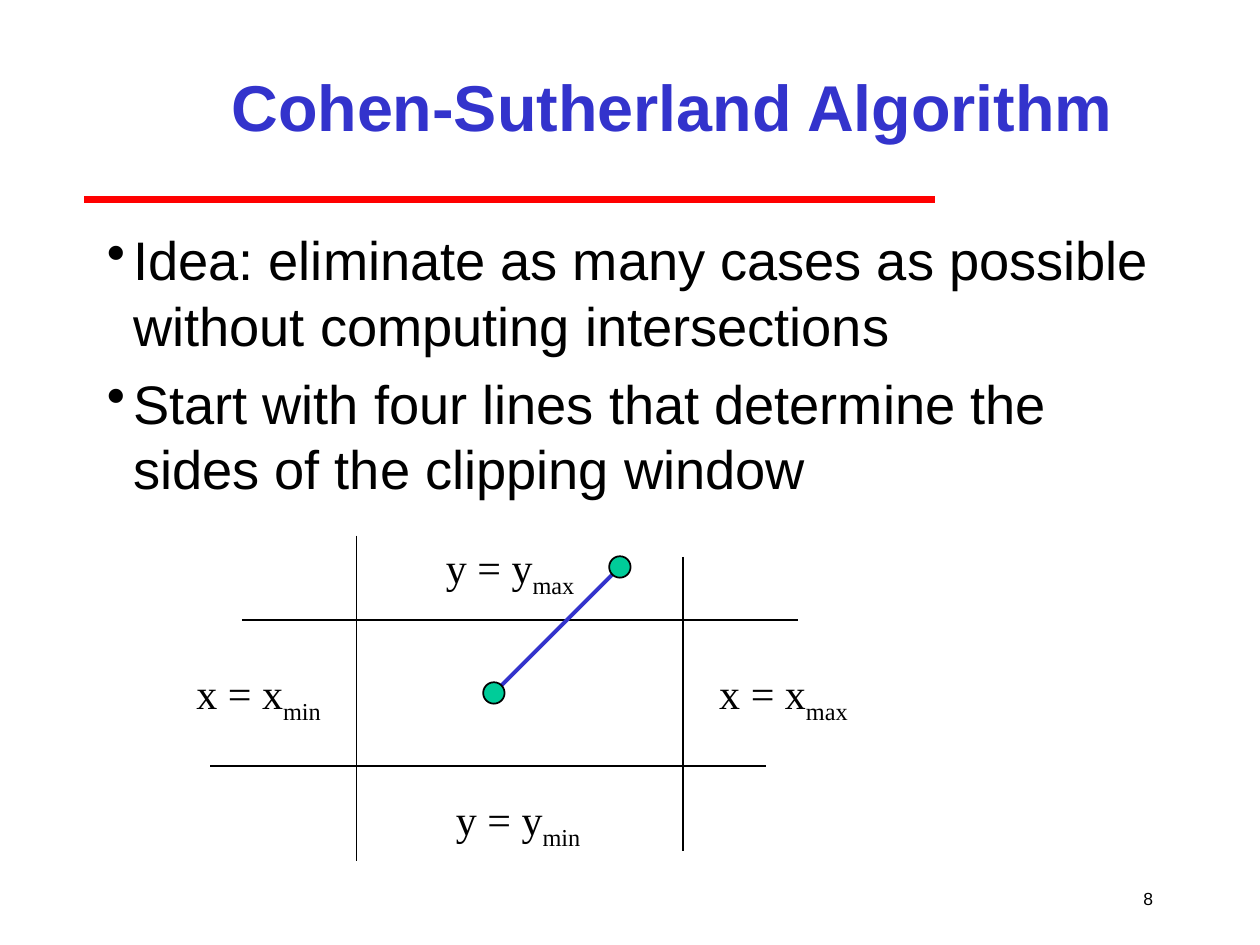
from dataclasses import dataclass

import pptx
import pptx.dml.color
import pptx.enum.shapes
import pptx.enum.text
import pptx.oxml
import pptx.oxml.ns
import pptx.util
from pptx.util import Inches

BLACK, BLUE, RED, GREEN = "000000", "3333CC", "FF0000", "00CC99"
ALIGN = pptx.enum.text.PP_ALIGN
ANCHOR = pptx.enum.text.MSO_ANCHOR


@dataclass
class Line:
    start: tuple[float, float]
    end: tuple[float, float]
    color: str = BLACK
    width: float = 1


@dataclass
class BoundaryLabel:
    left: float
    top: float
    width: float
    axis: str
    limit: str


HEADER_RULE = Line((0.67, 1.58), (7.42, 1.58), RED, 4)
WINDOW_LINES = [
    Line((1.92, 4.92), (6.33, 4.92)),
    Line((5.42, 4.42), (5.42, 6.75)),
    Line((2.83, 4.25), (2.83, 6.83)),
    Line((1.67, 6.08), (6.08, 6.08)),
]
LABELS = [
    BoundaryLabel(5.61, 5.25, 1.22, "x", "max"),
    BoundaryLabel(1.46, 5.25, 1.19, "x", "min"),
    BoundaryLabel(3.44, 4.25, 1.22, "y", "max"),
    BoundaryLabel(3.52, 6.25, 1.19, "y", "min"),
]
SEGMENT = Line((3.92, 5.5), (4.92, 4.5), BLUE, 2.25)
DOT_SIZE = 0.17
BULLETS = [
    "Idea: eliminate as many cases as possible without computing intersections",
    "Start with four lines that determine the sides of the clipping window",
]


def rgb(color: str) -> pptx.dml.color.RGBColor:
    return pptx.dml.color.RGBColor.from_string(color)


def style(para, size: float, name: str = "Arial", color: str = BLACK, bold: bool = False) -> None:
    para.font.size = pptx.util.Pt(size)
    para.font.name = name
    para.font.bold = bold
    para.font.color.rgb = rgb(color)


def add_frame(page, left: float, top: float, width: float, height: float,
              wrap: bool = True, anchor=ANCHOR.TOP):
    """Add a text box and return its text frame."""
    box = page.shapes.add_textbox(Inches(left), Inches(top), Inches(width), Inches(height))
    frame = box.text_frame
    frame.word_wrap = wrap
    frame.vertical_anchor = anchor
    return frame


def add_line(page, line: Line) -> None:
    connector = page.shapes.add_connector(
        pptx.enum.shapes.MSO_CONNECTOR.STRAIGHT,
        *(Inches(value) for value in line.start + line.end))
    connector.line.color.rgb = rgb(line.color)
    connector.line.width = pptx.util.Pt(line.width)
    properties = connector._element.spPr
    properties.append(pptx.oxml.parse_xml(f"<a:effectLst {pptx.oxml.ns.nsdecls('a')}/>"))


def add_dot(page, center: tuple[float, float]) -> None:
    left, top = (Inches(value - DOT_SIZE / 2) for value in center)
    dot = page.shapes.add_shape(pptx.enum.shapes.MSO_SHAPE.OVAL, left, top,
                                Inches(DOT_SIZE), Inches(DOT_SIZE))
    dot.shadow.inherit = False
    dot.fill.solid()
    dot.fill.fore_color.rgb = rgb(GREEN)
    dot.line.color.rgb = rgb(BLACK)
    dot.line.width = pptx.util.Pt(1)


def add_label(page, label: BoundaryLabel) -> None:
    """Add a boundary equation whose limit is a subscript."""
    frame = add_frame(page, label.left, label.top, label.width, 0.56, wrap=False)
    frame.auto_size = pptx.enum.text.MSO_AUTO_SIZE.SHAPE_TO_FIT_TEXT
    para = frame.paragraphs[0]
    para.add_run().text = f"{label.axis} = {label.axis}"
    span = para.add_run()
    span.text = label.limit
    span._r.get_or_add_rPr().set("baseline", "-25000")
    style(para, 24, "Times New Roman")


def add_bullets(page) -> None:
    frame = add_frame(page, 0.75, 1.75, 8.5, 5.17)
    for index, text in enumerate(BULLETS):
        para = frame.add_paragraph() if index else frame.paragraphs[0]
        para.text = text
        if index:
            para.space_before = pptx.util.Pt(7.7)
        properties = para._p.get_or_add_pPr()
        properties.set("marL", str(Inches(0.21)))
        properties.set("indent", str(Inches(-0.21)))
        properties.append(pptx.oxml.parse_xml(
            f'<a:buChar {pptx.oxml.ns.nsdecls("a")} char="•"/>'))
        style(para, 31)


def main() -> None:
    deck = pptx.Presentation()
    deck.slide_width, deck.slide_height = Inches(10), Inches(7.5)
    page = deck.slides.add_slide(deck.slide_layouts[6])

    add_line(page, HEADER_RULE)

    number = add_frame(page, 8.83, 6.92, 0.42, 0.42, wrap=False, anchor=ANCHOR.MIDDLE).paragraphs[0]
    number.text = "8"
    number.alignment = ALIGN.RIGHT
    style(number, 10)

    title = add_frame(page, 1.5, 0.25, 7.67, 1.17, anchor=ANCHOR.MIDDLE).paragraphs[0]
    title.text = "Cohen-Sutherland Algorithm"
    title.alignment = ALIGN.CENTER
    style(title, 37, color=BLUE, bold=True)

    add_bullets(page)
    for line in WINDOW_LINES:
        add_line(page, line)
    for label in LABELS:
        add_label(page, label)

    add_line(page, SEGMENT)
    for center in (SEGMENT.end, SEGMENT.start):
        add_dot(page, center)

    deck.save("out.pptx")


if __name__ == "__main__":
    main()
